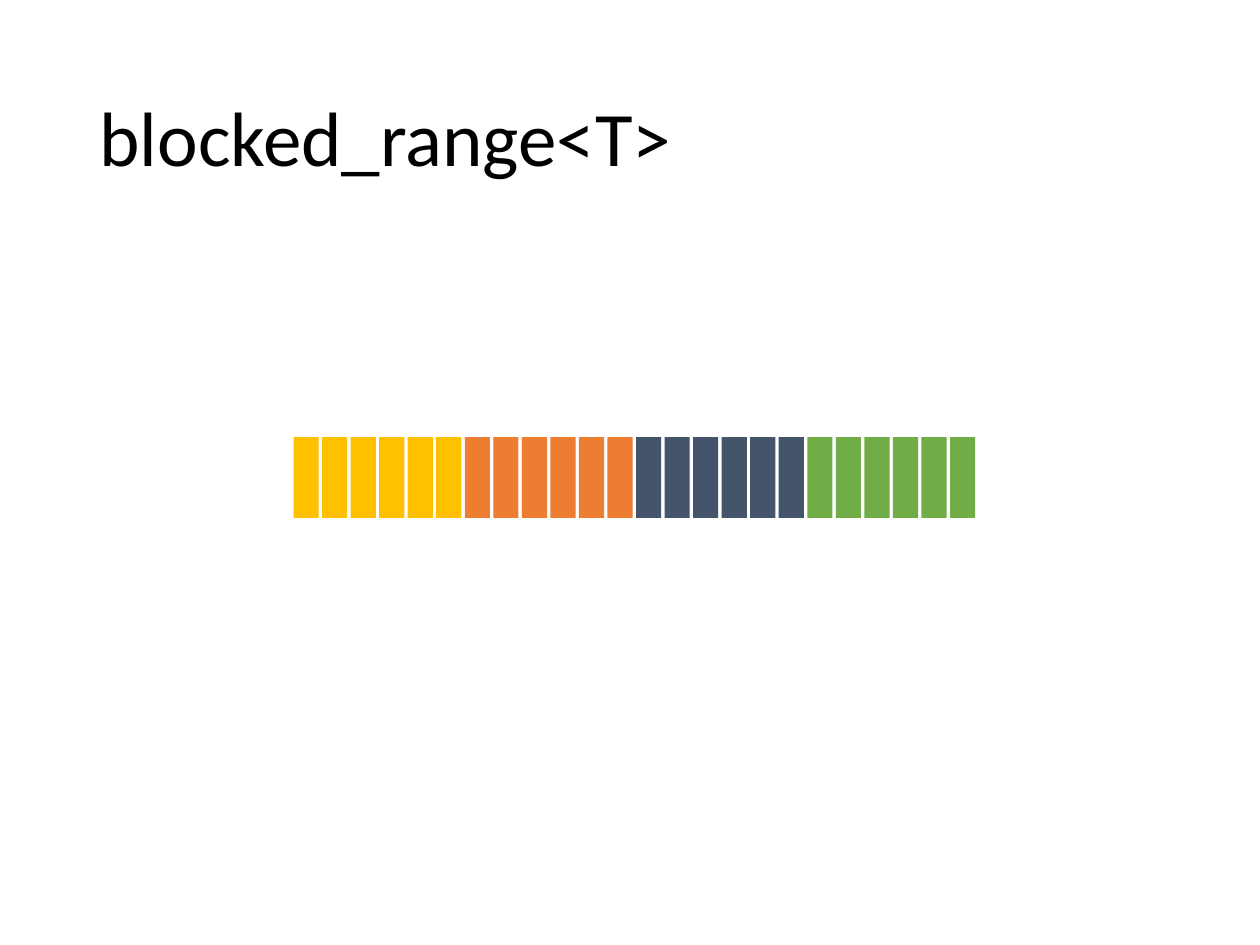
from dataclasses import dataclass

from pptx import Presentation
from pptx.dml.color import RGBColor
from pptx.enum.shapes import MSO_SHAPE
from pptx.enum.text import MSO_ANCHOR, PP_ALIGN
from pptx.slide import Slide
from pptx.util import Inches, Pt

RECT = MSO_SHAPE.RECTANGLE
MIDDLE = MSO_ANCHOR.MIDDLE
LEFT = PP_ALIGN.LEFT

COLORS = {
    "text": "000000",
    "gold": "FFC000",
    "orange": "ED7D31",
    "slate": "44546A",
    "green": "70AD47",
}
BLOCKS = ["gold", "orange", "slate", "green"]
CELLS_PER_BLOCK = 6
FIRST_LEFT, LAST_LEFT = 2.33, 7.54
PITCH = (LAST_LEFT - FIRST_LEFT) / (len(BLOCKS) * CELLS_PER_BLOCK - 1)


@dataclass
class Cell:
    left: float
    color: str
    top: float = 3.47
    width: float = 0.2
    height: float = 0.64


def rgb(name: str) -> RGBColor:
    return RGBColor.from_string(COLORS[name])


def add_title(s: Slide, text: str) -> None:
    title = s.shapes.title
    title.left, title.top = Inches(0.69), Inches(0.4)
    title.width, title.height = Inches(8.62), Inches(1.45)
    tf = title.text_frame
    tf.text = text
    tf.word_wrap = True
    tf.vertical_anchor = MIDDLE
    p = tf.paragraphs[0]
    p.alignment = LEFT
    p.line_spacing = 0.9
    p.font.name = "Calibri"
    p.font.size = Pt(44)
    p.font.color.rgb = rgb("text")


def add_cell(s: Slide, cell: Cell) -> None:
    sp = s.shapes.add_shape(
        RECT, Inches(cell.left), Inches(cell.top), Inches(cell.width), Inches(cell.height)
    )
    sp.shadow.inherit = False
    sp.fill.solid()
    sp.fill.fore_color.rgb = rgb(cell.color)
    sp.line.fill.background()


def main() -> None:
    prs = Presentation()
    prs.slide_width, prs.slide_height = Inches(10), Inches(7.5)
    s = prs.slides.add_slide(prs.slide_layouts[5])
    add_title(s, "blocked_range<T>")
    colors = [color for color in BLOCKS for _ in range(CELLS_PER_BLOCK)]
    for i, color in enumerate(colors):
        add_cell(s, Cell(FIRST_LEFT + i * PITCH, color))
    prs.save("out.pptx")


if __name__ == "__main__":
    main()
